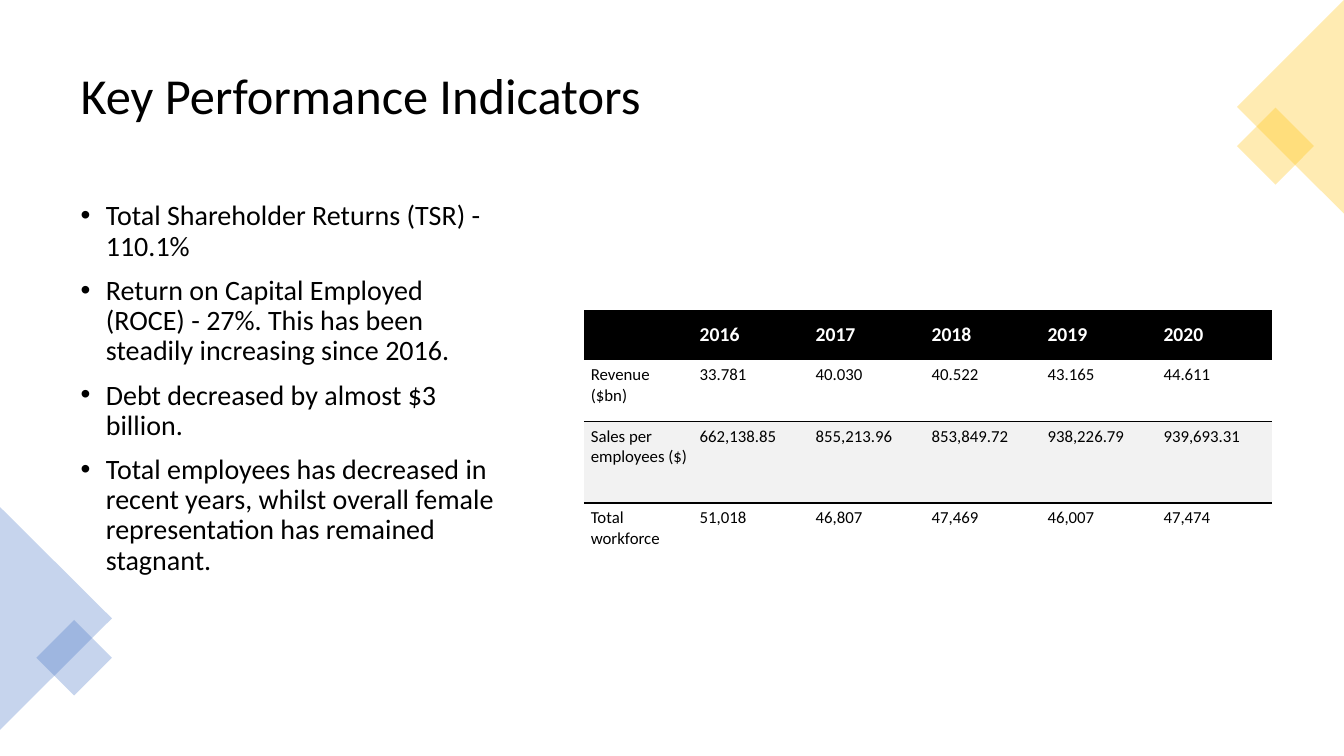
from lxml import etree
from pptx import Presentation
from pptx.dml.color import RGBColor
from pptx.enum import shapes, text
from pptx.oxml.ns import qn
from pptx.util import Inches, Pt

BLACK = RGBColor(0x00, 0x00, 0x00)
WHITE = RGBColor(0xFF, 0xFF, 0xFF)
GREY = RGBColor(0xF2, 0xF2, 0xF2)
BLUE = RGBColor(0x44, 0x72, 0xC4)
GOLD = RGBColor(0xFF, 0xC0, 0x00)
PLAIN = "{2D5ABB26-0587-4C30-8999-92F81FD0307C}"  # table style: no grid


def write(para, words, size, color=BLACK, bold=False):
    para.alignment = text.PP_ALIGN.LEFT
    run = para.add_run()
    run.text = words
    font = run.font
    font.name, font.size, font.bold = "Calibri", Pt(size), bold
    font.color.rgb = color


def place(shape, *box):
    shape.left, shape.top, shape.width, shape.height = map(Inches, box)


deck = Presentation()
deck.slide_width, deck.slide_height = Inches(13.33), Inches(7.5)
slide = deck.slides.add_slide(deck.slide_layouts[1])

# Title
title = slide.shapes.title
place(title, 0.7, 0.35, 11.93, 1.24)
frame = title.text_frame
frame.auto_size = text.MSO_AUTO_SIZE.NONE
frame.vertical_anchor = text.MSO_ANCHOR.MIDDLE
frame.paragraphs[0].line_spacing = 0.9
write(frame.paragraphs[0], "Key Performance Indicators", 36)

# Bullets
points = [
    "Total Shareholder Returns (TSR) - 110.1%",
    "Return on Capital Employed (ROCE) - 27%. This has been steadily increasing since 2016.",
    "Debt decreased by almost $3 billion.",
    "Total employees has decreased in recent years, whilst overall female "
    "representation has remained stagnant.",
]
body = slide.placeholders[1]
place(body, 0.7, 1.95, 4.38, 4.81)
frame = body.text_frame
frame.auto_size = text.MSO_AUTO_SIZE.NONE
frame.vertical_anchor = text.MSO_ANCHOR.TOP
for i, point in enumerate(points):
    para = frame.add_paragraph() if i else frame.paragraphs[0]
    para.line_spacing, para.space_before = 0.9, Pt(10)
    write(para, point, 20)
    props = para._p.get_or_add_pPr()
    props.set("marL", str(Inches(0.25)))
    props.set("indent", str(Inches(-0.25)))
    etree.SubElement(props, qn("a:buFont"), typeface="Arial")
    etree.SubElement(props, qn("a:buChar"), char="•")

# Corner ornaments
TRI = shapes.MSO_SHAPE.ISOSCELES_TRIANGLE
BOX = shapes.MSO_SHAPE.RECTANGLE
corners = [
    (TRI, (-0.55, 5.58, 2.21, 1.11), 90, BLUE),
    (BOX, (0.47, 6.26, 0.53, 0.53), 45, BLUE),
    (BOX, (12.38, 1.18, 0.54, 0.54), 45, GOLD),
    (TRI, (11.74, 0.53, 2.12, 1.06), 270, GOLD),
]
for kind, box, turn, color in corners:
    shape = slide.shapes.add_shape(kind, *map(Inches, box))
    shape.rotation = turn
    shape.shadow.inherit = False
    shape.line.fill.background()
    shape.fill.solid()
    shape.fill.fore_color.rgb = color
    tint = shape._element.spPr.find(".//" + qn("a:srgbClr"))
    etree.SubElement(tint, qn("a:alpha"), val="30000")

# Indicator table
rows = [
    ["", "2016", "2017", "2018", "2019", "2020"],
    ["Revenue ($bn)", "33.781", "40.030", "40.522", "43.165", "44.611"],
    ["Sales per employees ($)", "662,138.85", "855,213.96", "853,849.72",
     "938,226.79", "939,693.31"],
    ["Total workforce", "51,018", "46,807", "47,469", "46,007", "47,474"],
]
fills = [BLACK, None, GREY, None]
grid = slide.shapes.add_table(
    4, 6, Inches(5.79), Inches(3.08), Inches(6.84), Inches(2.52)).table
grid.first_row = grid.horz_banding = False
grid._tbl.tblPr.find(qn("a:tableStyleId")).text = PLAIN
for c, col in enumerate(grid.columns):
    col.width = Inches(1.15 if c else 1.08)
for row, high in zip(grid.rows, [0.49, 0.61, 0.81, 0.61]):
    row.height = Inches(high)

for r, row in enumerate(rows):
    head = r == 0
    for c, words in enumerate(row):
        cell = grid.cell(r, c)
        if words:
            cell.margin_left, cell.margin_right = Inches(0.07), Inches(0.05)
            cell.margin_top = Inches(0.1 if head else 0.05)
            cell.margin_bottom = Inches(0.1)
            cell.vertical_anchor = text.MSO_ANCHOR.MIDDLE if head else text.MSO_ANCHOR.TOP
            write(cell.text_frame.paragraphs[0], words, 14 if head else 12,
                  WHITE if head else BLACK, head)
        # A black rule runs between the second and third rows
        side = {1: "a:lnB", 2: "a:lnT"}.get(r)
        if side:
            edge = etree.SubElement(cell._tc.get_or_add_tcPr(), qn(side), w=str(Pt(1)))
            ink = etree.SubElement(edge, qn("a:solidFill"))
            etree.SubElement(ink, qn("a:srgbClr"), val=str(BLACK))
        if fills[r] is None:
            cell.fill.background()
        else:
            cell.fill.solid()
            cell.fill.fore_color.rgb = fills[r]

deck.save("out.pptx")
